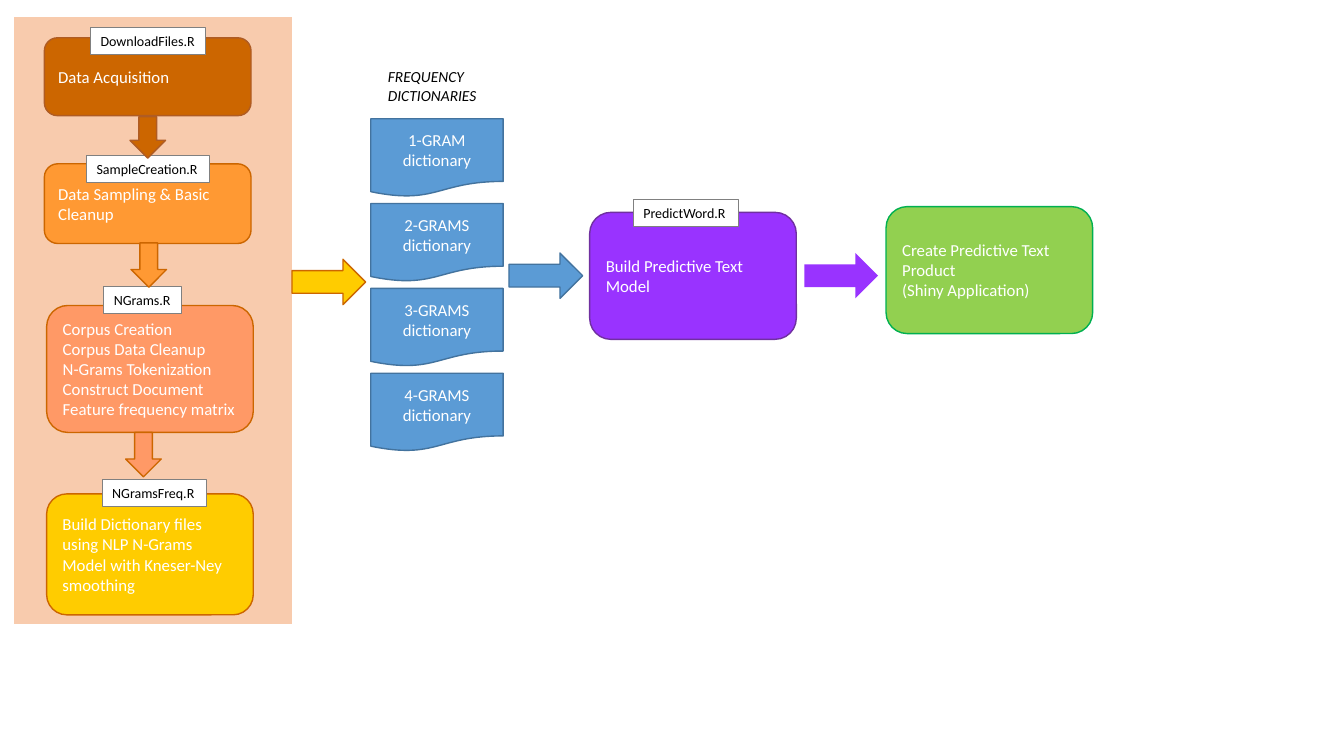
from pptx import Presentation, util as u
from pptx.dml.color import RGBColor
from pptx.enum import shapes, text

Pt = u.Pt
KIND = shapes.MSO_SHAPE
COLORS = {
    "white": "FFFFFF", "black": "000000", "grey": "808080",
    "peach": "F8CBAD", "brown": "CC6600", "rust": "AF5C24",
    "orange": "FF9933", "salmon": "FF9966", "yellow": "FFCC00",
    "blue": "5B9BD5", "navy": "43739E", "violet": "9933FF",
    "purple": "7030A0", "lime": "92D050", "green": "00B050",
}


def rgb(name):
    return RGBColor.from_string(COLORS[name])


def write(frame, wording, size=12, color="white", italic=False, wrap=True,
          grow=False, align=text.PP_ALIGN.LEFT, anchor=text.MSO_ANCHOR.MIDDLE):
    """Fill a text frame, one paragraph per line of wording."""
    frame.word_wrap = wrap
    frame.vertical_anchor = anchor
    if grow:
        frame.auto_size = text.MSO_AUTO_SIZE.SHAPE_TO_FIT_TEXT
    frame.text = wording
    for paragraph in frame.paragraphs:
        paragraph.alignment = align
        for run in paragraph.runs:
            run.font.name = "Calibri"
            run.font.size = Pt(size)
            run.font.italic = italic
            run.font.color.rgb = rgb(color)


class Flowchart:
    box_width = 147.6
    arrow_long, arrow_wide = 52.6, 32.4

    def __init__(self, slide):
        self.slide = slide

    def shape(self, kind, left, top, width, height, fill, line=None, weight=1):
        shape = self.slide.shapes.add_shape(
            kind, Pt(left), Pt(top), Pt(width), Pt(height))
        shape.shadow.inherit = False
        shape.fill.solid()
        shape.fill.fore_color.rgb = rgb(fill)
        if line:
            shape.line.color.rgb = rgb(line)
            shape.line.width = Pt(weight)
        else:
            shape.line.fill.background()
        return shape

    def step(self, left, top, height, wording, fill, line):
        box = self.shape(KIND.ROUNDED_RECTANGLE, left, top, self.box_width,
                         height, fill, line)
        write(box.text_frame, wording)

    def dictionary(self, left, top, wording):
        document = self.shape(KIND.FLOWCHART_DOCUMENT, left, top, 94.6, 55.8,
                              "blue", "navy")
        write(document.text_frame, wording, align=text.PP_ALIGN.CENTER)

    def script_tag(self, left, top, width, wording):
        tag = self.shape(KIND.RECTANGLE, left, top, width, 19.4,
                         "white", "grey", 0.75)
        write(tag.text_frame, wording, size=10, color="black", wrap=False,
              grow=True, anchor=text.MSO_ANCHOR.TOP)

    def heading(self, left, top, width, height, wording):
        box = self.slide.shapes.add_textbox(
            Pt(left), Pt(top), Pt(width), Pt(height))
        write(box.text_frame, wording, size=11, color="black", italic=True,
              grow=True, anchor=text.MSO_ANCHOR.TOP)

    def down_arrow(self, left, top, height, fill, line):
        self.shape(KIND.DOWN_ARROW, left, top, 25.4, height, fill, line)

    def right_arrow(self, left, top, fill, line=None):
        self.shape(KIND.RIGHT_ARROW, left, top, self.arrow_long,
                   self.arrow_wide, fill, line)


deck = Presentation()
deck.slide_width, deck.slide_height = Pt(960), Pt(540)
chart = Flowchart(deck.slides.add_slide(deck.slide_layouts[6]))

# Data preparation panel
chart.shape(KIND.FLOWCHART_PROCESS, 10, 12.2, 198.4, 433.4, "peach")

# Process steps
steps = [
    (31.7, 27, 55.6, "Data Acquisition", "brown", "rust"),
    (31.7, 117, 56.9, "Data Sampling & Basic Cleanup", "orange", "brown"),
    (33.3, 218.2, 90.7, "Corpus Creation\nCorpus Data Cleanup\n"
     "N-Grams Tokenization\nConstruct Document Feature frequency matrix",
     "salmon", "brown"),
    (33.3, 352.8, 86.4, "Build Dictionary files using NLP N-Grams Model "
     "with Kneser-Ney smoothing", "yellow", "brown"),
    (421.2, 151.7, 90.7, "Build Predictive Text Model", "violet", "purple"),
    (632.9, 147.6, 90.7, "Create Predictive Text Product\n"
     "(Shiny Application)", "lime", "green"),
]
for step in steps:
    chart.step(*step)

# Frequency dictionaries
chart.heading(270, 44.6, 97.9, 33.8, "FREQUENCY DICTIONARIES")
for n in range(1, 5):
    unit = "GRAM" if n == 1 else "GRAMS"
    chart.dictionary(264.8, 84.8 + 60.6 * (n - 1), f"{n}-{unit} dictionary")

# Script names
tags = [
    (64.8, 19.8, 82.1, "DownloadFiles.R"),
    (61.9, 111.2, 87.8, "SampleCreation.R"),
    (74.2, 204.8, 55.4, "NGrams.R"),
    (73.1, 342.4, 74.2, "NGramsFreq.R"),
    (452.5, 142.4, 74.9, "PredictWord.R"),
]
for tag in tags:
    chart.script_tag(*tag)

# Arrows down the panel
chart.down_arrow(92.9, 83.4, 29.5, "brown", "rust")
chart.down_arrow(93.6, 173.5, 31.7, "orange", "brown")
chart.down_arrow(89.8, 308.9, 31.7, "salmon", "brown")

# Arrows across the stages
chart.right_arrow(208.6, 185.2, "yellow", "brown")
chart.right_arrow(363.6, 180.7, "blue", "navy")
chart.right_arrow(574.6, 180.7, "violet")

deck.save("out.pptx")
